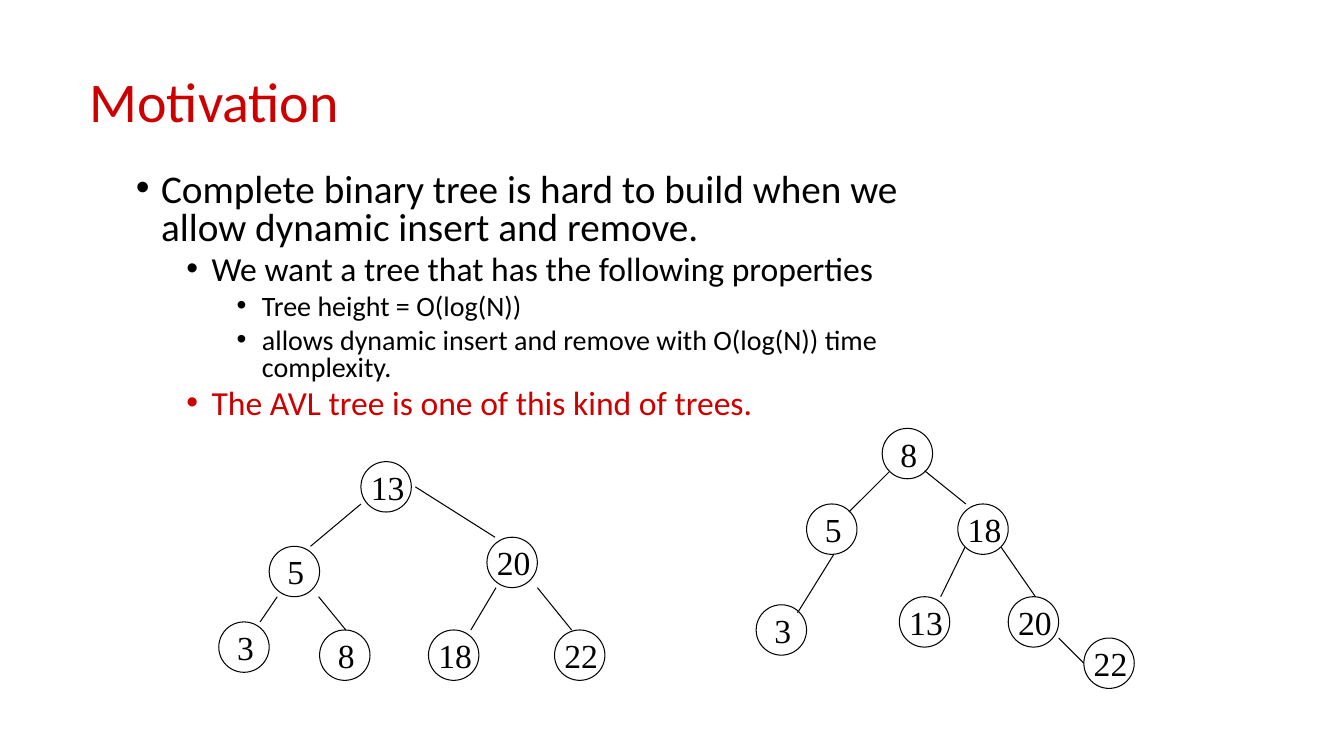
import pptx
import pptx.util
import pptx.dml.color
import pptx.enum.shapes
import pptx.enum.text
import pptx.oxml.ns
from lxml import etree

Inches, Pt = pptx.util.Inches, pptx.util.Pt
Color = pptx.dml.color.RGBColor.from_string
Align, Anchor = pptx.enum.text.PP_ALIGN, pptx.enum.text.MSO_ANCHOR
qn = pptx.oxml.ns.qn

THEME = {
    "ink": Color("000000"),
    "accent": Color("CD0000"),
    "text_font": "Calibri",
    "node_font": "Times New Roman",
    "title_size": 40,
    "level_sizes": (28, 24, 20),
    "node_size": 24,
    "line_width": 0.75,
}

TITLE = "Motivation"
# level, colour, wording
BULLETS = [
    (0, "ink", "Complete binary tree is hard to build when we allow dynamic insert and remove."),
    (1, "ink", "We want a tree that has the following properties"),
    (2, "ink", "Tree height = O(log(N))"),
    (2, "ink", "allows dynamic insert and remove with O(log(N)) time complexity."),
    (1, "accent", "The AVL tree is one of this kind of trees."),
]

# nodes: key, left, top; edges: start point, end point
TREES = [
    {
        "nodes": [(13, 3.58, 4.58), (5, 2.67, 5.42), (20, 4.83, 5.33), (3, 2.17, 6.17),
                  (8, 3.17, 6.25), (18, 4.25, 6.25), (22, 5.5, 6.25)],
        "edges": [((3.58, 5), (3.08, 5.42)), ((4.12, 4.83), (4.91, 5.33)),
                  ((2.75, 5.92), (2.58, 6.17)), ((3.16, 5.92), (3.43, 6.25)),
                  ((4.92, 5.83), (4.67, 6.25)), ((5.33, 5.83), (5.67, 6.25))],
    },
    {
        "nodes": [(8, 8.75, 4.25), (5, 8, 5), (18, 9.5, 5), (3, 7.5, 6),
                  (13, 8.92, 5.92), (20, 10, 5.92), (22, 10.75, 6.33)],
        "edges": [((8.82, 4.68), (8.42, 5.08)), ((9.17, 4.67), (9.58, 5)),
                  ((8.27, 5.5), (7.91, 6.08)), ((9.57, 5.43), (9.33, 5.92)),
                  ((9.93, 5.43), (10.27, 5.92)), ((10.5, 6.33), (10.75, 6.58))],
    },
]
NODE_DIAMETER = 0.5
LABEL_SHIFT = 0.03
INDENT, HANGING = 0.5, 0.25


def set_all(target, values):
    for name, value in values.items():
        setattr(target, name, value)


def style_text(para, size, color, font):
    set_all(para.font, {"size": Pt(size), "name": font})
    para.font.color.rgb = THEME[color]


def style_line(shape):
    shape.line.color.rgb = THEME["ink"]
    shape.line.width = Pt(THEME["line_width"])


def add_text_frame(page, left, top, width, height, anchor):
    box = page.shapes.add_textbox(*map(Inches, (left, top, width, height)))
    set_all(box.text_frame, {"word_wrap": True, "vertical_anchor": anchor})
    return box.text_frame


def add_bullet(para, level):
    """Give the paragraph a hanging round bullet at its level's indent."""
    props = para._p.get_or_add_pPr()
    props.set("marL", str(Inches(HANGING + level * INDENT)))
    props.set("indent", str(-Inches(HANGING)))
    etree.SubElement(props, qn("a:buFont")).set("typeface", "Arial")
    etree.SubElement(props, qn("a:buChar")).set("char", "•")


def add_title(page):
    para = add_text_frame(page, 0.79, 0.31, 11.5, 1.45, Anchor.MIDDLE).paragraphs[0]
    para.text = TITLE
    para.line_spacing = 0.9
    style_text(para, THEME["title_size"], "accent", THEME["text_font"])


def add_bullets(page):
    frame = add_text_frame(page, 1.25, 1.67, 8.5, 2.83, Anchor.TOP)
    for index, (level, color, wording) in enumerate(BULLETS):
        para = frame.add_paragraph() if index else frame.paragraphs[0]
        add_bullet(para, level)
        set_all(para, {"text": wording, "level": level, "line_spacing": 0.8})
        if index:
            para.space_before = Pt(5)
        style_text(para, THEME["level_sizes"][level], color, THEME["text_font"])


def add_node(page, key, left, top):
    node = page.shapes.add_shape(
        pptx.enum.shapes.MSO_SHAPE.OVAL,
        *map(Inches, (left, top, NODE_DIAMETER, NODE_DIAMETER)))
    node.shadow.inherit = False
    node.fill.background()
    style_line(node)
    set_all(node.text_frame, {
        "word_wrap": False, "vertical_anchor": Anchor.MIDDLE,
        "margin_left": Inches(LABEL_SHIFT), "margin_right": 0,
        "margin_top": 0, "margin_bottom": 0})
    para = node.text_frame.paragraphs[0]
    set_all(para, {"text": str(key), "alignment": Align.CENTER})
    style_text(para, THEME["node_size"], "ink", THEME["node_font"])


def add_edge(page, start, end):
    edge = page.shapes.add_connector(
        pptx.enum.shapes.MSO_CONNECTOR.STRAIGHT, *map(Inches, start + end))
    style_line(edge)
    etree.SubElement(edge._element.spPr, qn("a:effectLst"))


def main():
    deck = pptx.Presentation()
    set_all(deck, {"slide_width": Inches(13.33), "slide_height": Inches(7.5)})
    page = deck.slides.add_slide(deck.slide_layouts[6])
    add_title(page)
    add_bullets(page)
    for tree in TREES:
        for node in tree["nodes"]:
            add_node(page, *node)
        for edge in tree["edges"]:
            add_edge(page, *edge)
    deck.save("out.pptx")


if __name__ == "__main__":
    main()
